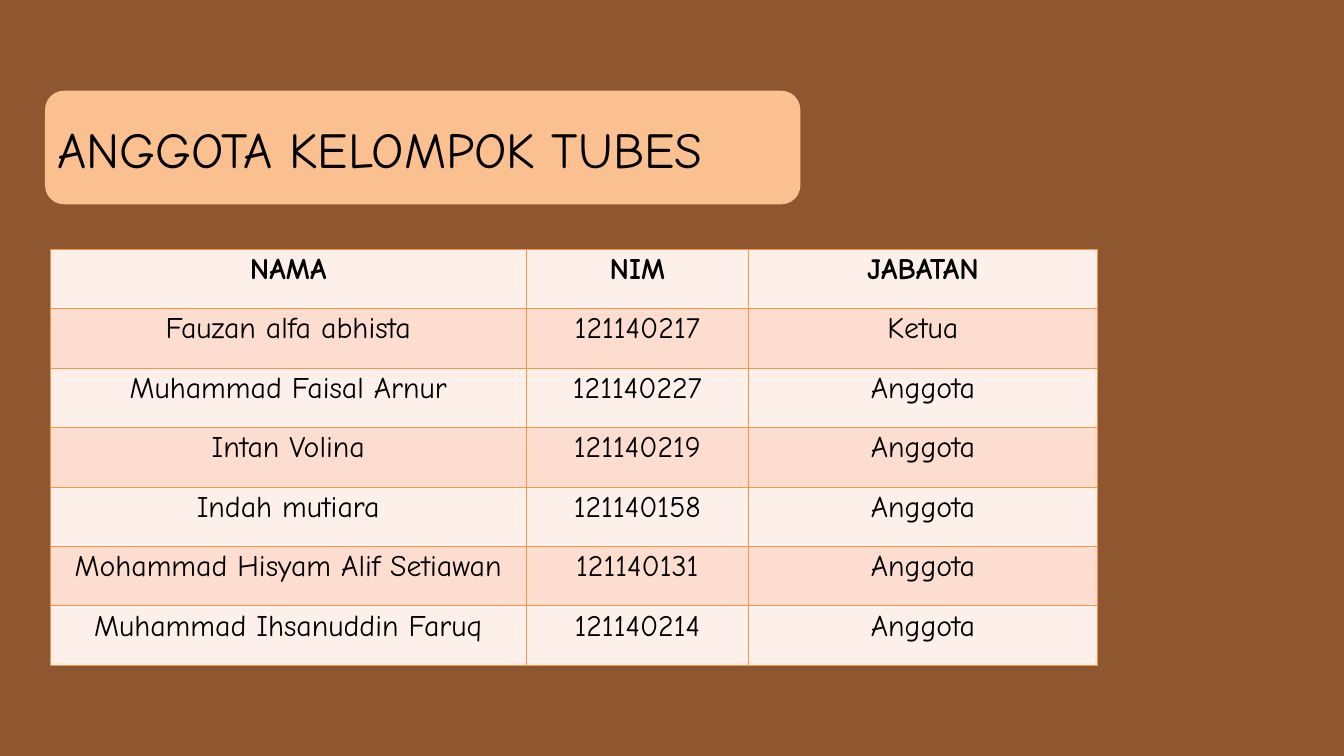
from lxml import etree
from pptx import Presentation
from pptx.dml.color import RGBColor
from pptx.enum import shapes, text
from pptx.oxml import ns
from pptx.util import Inches, Pt

BROWN = RGBColor(0x8E, 0x57, 0x30)
PEACH = RGBColor(0xFA, 0xC0, 0x90)
ORANGE = RGBColor(0xF7, 0x96, 0x46)
LIGHT_ROW = RGBColor(0xFD, 0xEF, 0xE9)
DARK_ROW = RGBColor(0xFC, 0xDD, 0xCF)
BLACK = RGBColor(0, 0, 0)
FONT = "Comic Neue"

COLUMN_WIDTHS = [7.08, 3.31, 5.19]
HEADER = ("NAMA", "NIM", "JABATAN")
MEMBERS = [
    ("Fauzan alfa abhista", "121140217", "Ketua"),
    ("Muhammad Faisal Arnur", "121140227", "Anggota"),
    ("Intan Volina", "121140219", "Anggota"),
    ("Indah mutiara", "121140158", "Anggota"),
    ("Mohammad Hisyam Alif Setiawan", "121140131", "Anggota"),
    ("Muhammad Ihsanuddin Faruq", "121140214", "Anggota"),
]


def format_runs(paragraph, size, bold=False):
    for run in paragraph.runs:
        run.font.name = FONT
        run.font.size = Pt(size)
        run.font.bold = bold
        run.font.color.rgb = BLACK


def set_borders(cell, color):
    properties = cell._tc.get_or_add_tcPr()
    for index, side in enumerate(("lnL", "lnR", "lnT", "lnB")):
        line = etree.Element(ns.qn(f"a:{side}"), w=str(Pt(1)))
        fill = etree.SubElement(line, ns.qn("a:solidFill"))
        etree.SubElement(fill, ns.qn("a:srgbClr"), val=str(color))
        properties.insert(index, line)


def add_title_panel(slide, left, top, width, height):
    panel = slide.shapes.add_shape(
        shapes.MSO_SHAPE.ROUNDED_RECTANGLE,
        Inches(left), Inches(top), Inches(width), Inches(height))
    panel.shadow.inherit = False
    panel.fill.solid()
    panel.fill.fore_color.rgb = PEACH
    panel.line.fill.background()

    title = slide.shapes.add_textbox(
        Inches(left + 0.08), Inches(top + 0.36), Inches(width - 0.09), Inches(1.01))
    title.text_frame.word_wrap = True
    title.text_frame.text = "ANGGOTA KELOMPOK TUBES"
    format_runs(title.text_frame.paragraphs[0], 54)


def add_member_table(slide, left, top, height):
    rows = [HEADER] + MEMBERS
    table = slide.shapes.add_table(
        len(rows), len(HEADER), Inches(left), Inches(top),
        Inches(sum(COLUMN_WIDTHS)), Inches(height)).table
    for column, width in zip(table.columns, COLUMN_WIDTHS):
        column.width = Inches(width)
    for row_index, values in enumerate(rows):
        for column_index, value in enumerate(values):
            cell = table.cell(row_index, column_index)
            cell.fill.solid()
            cell.fill.fore_color.rgb = DARK_ROW if row_index % 2 else LIGHT_ROW
            set_borders(cell, ORANGE)
            cell.text_frame.text = value
            paragraph = cell.text_frame.paragraphs[0]
            paragraph.alignment = text.PP_ALIGN.CENTER
            format_runs(paragraph, 32, bold=row_index == 0)


def main():
    presentation = Presentation()
    presentation.slide_width = Inches(20)
    presentation.slide_height = Inches(11.25)
    slide = presentation.slides.add_slide(presentation.slide_layouts[6])
    slide.background.fill.solid()
    slide.background.fill.fore_color.rgb = BROWN
    add_title_panel(slide, 0.67, 1.35, 11.24, 1.69)
    add_member_table(slide, 0.75, 3.71, 6.19)
    presentation.save("out.pptx")


if __name__ == "__main__":
    main()
